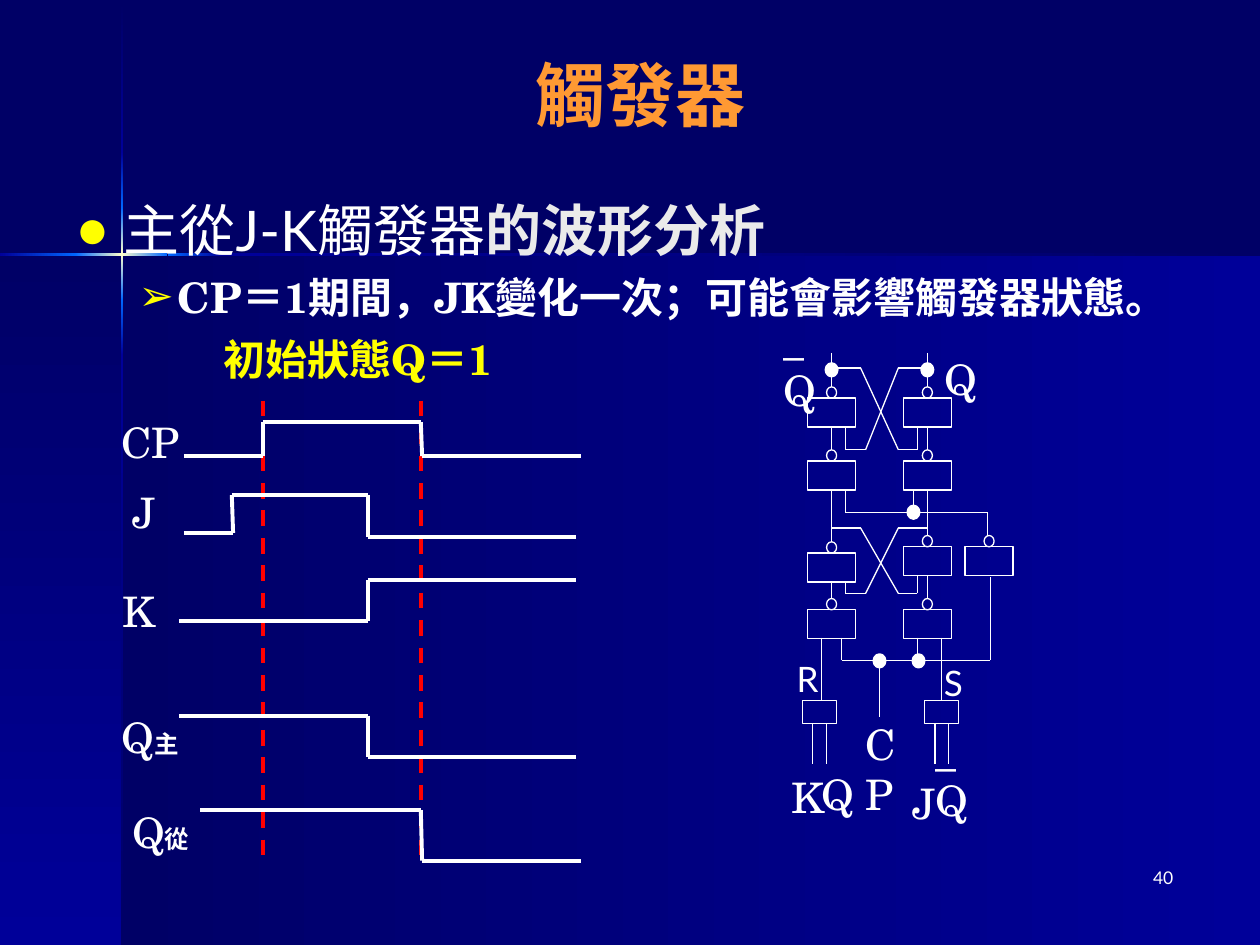
from lxml import etree
from pptx import Presentation
from pptx.dml.color import RGBColor
from pptx.enum.dml import MSO_LINE
from pptx.enum.shapes import MSO_CONNECTOR, MSO_SHAPE
from pptx.enum.text import MSO_ANCHOR, MSO_AUTO_SIZE, PP_ALIGN
from pptx.oxml.ns import qn
from pptx.util import Inches, Pt

RECT, OVAL = MSO_SHAPE.RECTANGLE, MSO_SHAPE.OVAL
STRAIGHT, DASH = MSO_CONNECTOR.STRAIGHT, MSO_LINE.DASH
LEFT, CENTER, RIGHT = PP_ALIGN.LEFT, PP_ALIGN.CENTER, PP_ALIGN.RIGHT
MIDDLE, NO_FIT = MSO_ANCHOR.MIDDLE, MSO_AUTO_SIZE.NONE
SANS, SERIF = "Lato", "TeX Gyre Schola"
COLORS = {
    "navy": "000066", "blue": "000099", "glow": "0066FF", "spark": "FFFFCC",
    "white": "FFFFFF", "pale": "EAEAEA", "yellow": "FFFF00",
    "orange": "FF9933", "red": "FF0000",
}


def color(name):
    return RGBColor.from_string(COLORS[name])


def add_text(para, text, size=24, font=SERIF, fill="white", bold=False):
    span = para.add_run()
    span.text = text
    span.font.size, span.font.name, span.font.bold = Pt(size), font, bold
    span.font.color.rgb = color(fill)


def set_bullet(para, char, left, hanging):
    props = para._p.get_or_add_pPr()
    props.set("marL", str(Inches(left)))
    props.set("indent", str(-Inches(hanging)))
    tint = etree.SubElement(props, qn("a:buClr"))
    etree.SubElement(tint, qn("a:srgbClr"), val=COLORS["yellow"])
    etree.SubElement(props, qn("a:buChar"), char=char)


def set_gradient(shape, names, angle):
    """Fill with evenly spaced stops; the angle runs clockwise in degrees."""
    gradient = etree.Element(qn("a:gradFill"), rotWithShape="1")
    stops = etree.SubElement(gradient, qn("a:gsLst"))
    for index, name in enumerate(names):
        place = index * 100000 // (len(names) - 1)
        stop = etree.SubElement(stops, qn("a:gs"), pos=str(place))
        etree.SubElement(stop, qn("a:srgbClr"), val=COLORS[name])
    etree.SubElement(gradient, qn("a:lin"), ang=str(angle * 60000), scaled="0")
    shape._element.spPr.find(qn("a:prstGeom")).addnext(gradient)


class Board:
    """The current slide with its line style."""

    thin, thick = 0.75, 2.25

    def __init__(self, slide):
        self.slide = slide
        self.shapes = slide.shapes
        slide.background.fill.solid()
        slide.background.fill.fore_color.rgb = color("navy")

    def shape(self, kind, left, top, width, height):
        shape = self.shapes.add_shape(kind, *map(Inches, (left, top, width, height)))
        shape.shadow.inherit = False
        return shape

    def panel(self, place, names, angle):
        panel = self.shape(RECT, *place)
        panel.line.fill.background()
        set_gradient(panel, names, angle)

    def outline(self, kind, *place):
        shape = self.shape(kind, *place)
        shape.fill.background()
        shape.line.color.rgb = color("white")
        shape.line.width = Pt(self.thin)

    def gate(self, center, top):
        """A box with its inverting bubble on top."""
        self.outline(RECT, center - 0.19, top, 0.38, 0.23)
        self.outline(OVAL, center - 0.04, top - 0.09, 0.08, 0.09)

    def dot(self, x, y):
        dot = self.shape(OVAL, x - 0.04, y - 0.04, 0.08, 0.09)
        dot.fill.solid()
        dot.fill.fore_color.rgb = dot.line.color.rgb = color("white")
        dot.line.width = Pt(self.thick)

    def wire(self, *points, width=thin, fill="white", dash=None):
        """Straight lines from each point to the next."""
        for start, end in zip(points, points[1:]):
            line = self.shapes.add_connector(STRAIGHT, *map(Inches, start + end))
            line.line.color.rgb = color(fill)
            line.line.width = Pt(width)
            if dash:
                line.line.dash_style = dash
            etree.SubElement(line._element.spPr, qn("a:effectLst"))

    def label(self, place, *lines, align=LEFT, **style):
        """A text box; each line is a text or a list of (text, style) spans."""
        frame = self.shapes.add_textbox(*map(Inches, place)).text_frame
        frame.word_wrap = True
        for index, line in enumerate(lines):
            para = frame.add_paragraph() if index else frame.paragraphs[0]
            para.alignment = align
            spans = [(line, style)] if isinstance(line, str) else line
            for text, span_style in spans:
                add_text(para, text, **span_style)

    def placeholder(self, index, *place):
        box = self.slide.placeholders[index]
        box.left, box.top, box.width, box.height = map(Inches, place)
        box.text_frame.auto_size = NO_FIT
        return box.text_frame


def draw_background(board):
    fade_in, fade_out = ["blue", "glow"], ["glow", "blue"]
    base, flare = ["navy", "blue"], ["glow", "spark", "glow"]
    for place, names, angle in [
        ((0.97, 2.02, 9.03, 5.48), base, 0),
        ((0, 2.02, 0.97, 5.48), base, 90),
        ((0.96, 0.01, 0.02, 1.2), base, 90),
        ((0.96, 2.82, 0.02, 4.68), base[::-1], 90),
        ((1.77, 2.01, 8.23, 0.02), base[::-1], 0),
        ((0.96, 2.38, 0.02, 0.44), fade_out, 90),
        ((0.96, 1.21, 0.02, 0.44), fade_in, 90),
        ((0.96, 1.65, 0.02, 0.73), flare, 90),
        ((0, 2.01, 0.61, 0.02), fade_in, 0),
        ((1.33, 2.01, 0.44, 0.02), fade_out, 0),
        ((0.6, 2.01, 0.73, 0.02), flare, 0),
    ]:
        board.panel(place, names, angle)


def write_text(board):
    title = board.placeholder(0, 0.5, 0.33, 9.17, 0.83)
    title.vertical_anchor = MIDDLE
    title.paragraphs[0].alignment = CENTER
    add_text(title.paragraphs[0], "觸發器", size=40, font=SANS, fill="orange", bold=True)
    body = board.placeholder(1, 0.5, 1.5, 9.08, 5.17)
    topic, detail = body.paragraphs[0], body.add_paragraph()
    set_bullet(topic, "●", 0.38, 0.38)
    topic.space_before = Pt(0)
    add_text(topic, "主從J-K觸發器", size=32, font=SANS)
    add_text(topic, "的波形分析", size=32, fill="pale", bold=True)
    detail.level = 1
    set_bullet(detail, "➢", 0.81, 0.31)
    detail.space_before = Pt(5)
    add_text(detail, "CP＝1期間，JK變化一次；可能會影響觸發器狀態。", bold=True)
    board.label((1.46, 2.6, 2.76, 0.5), "初始狀態Q＝1", align=CENTER, fill="yellow", bold=True)
    board.label((7.33, 6.83, 2.08, 0.5), "40", align=RIGHT, size=10, font=SANS)


def draw_waveforms(board):
    for x in (2.09, 3.34):
        board.wire((x, 3.18), (x, 6.8), width=board.thick, fill="red", dash=DASH)
    small = {"size": 14, "bold": True}
    for left, top, line, points in [
        (0.84, 3.26, "CP", [(1.46, 3.62), (2.09, 3.62), (2.09, 3.35), (3.34, 3.35),
                            (3.35, 3.62), (4.61, 3.62)]),
        (0.79, 3.81, "J", [(1.46, 4.23), (1.85, 4.23), (1.84, 3.93), (2.92, 3.93),
                           (2.92, 4.26), (4.57, 4.26)]),
        (0.75, 4.6, "K", [(1.42, 4.93), (2.92, 4.93), (2.92, 4.6), (4.57, 4.6)]),
        (0.84, 5.6, [("Q", {}), ("主", small)],
         [(1.42, 5.68), (2.92, 5.68), (2.92, 6.01), (4.57, 6.01)]),
        (0.92, 6.35, [("Q", {}), ("從", small)],
         [(1.59, 6.43), (3.34, 6.43), (3.35, 6.83), (4.61, 6.83)]),
    ]:
        board.wire(*points, width=board.thick)
        board.label((left, top, 0.71, 0.5), line, align=CENTER)


def draw_circuit(board):
    left, right, inverter = 6.6, 7.36, 7.85
    for center, tops in [(left, (3.16, 3.66, 4.39, 4.84)),
                         (right, (3.16, 3.66, 4.34, 4.84)), (inverter, (4.34,))]:
        for top in tops:
            board.gate(center, top)
    # Cross-coupled feedback of the slave and the master latch
    for high, low, left_base, right_base, bubble in [
        (2.92, 3.57, 3.39, 3.39, 3.57), (4.19, 4.71, 4.62, 4.57, 4.75),
    ]:
        board.wire((right, high), (7.13, high), (6.87, low), (6.71, low), (6.71, left_base))
        board.wire((left, high), (6.83, high), (7.13, low), (7.28, low), (7.28, right_base))
        board.wire((left, left_base), (left, bubble))
        board.wire((right, right_base), (right, bubble))
    for points in [
        [(left, 2.8), (left, 3.07)], [(right, 2.8), (right, 3.07)],
        [(left, 3.89), (left, 4.3)], [(right, 3.89), (right, 4.25)],
        [(6.71, 3.89), (6.71, 4.07), (7.84, 4.07), (7.84, 4.25)],
        [(7.25, 3.89), (7.25, 4.07)],
        [(6.68, 5.06), (6.68, 5.24), (7.86, 5.24), (7.86, 4.58)],
        [(7.28, 5.06), (7.28, 5.24)], [(6.98, 5.24), (6.98, 5.69)],
        [(6.52, 5.06), (6.52, 5.56)], [(7.47, 5.06), (7.47, 5.56)],
    ]:
        board.wire(*points)
    for x, y in [(left, 2.93), (right, 2.93), (7.25, 4.06), (6.98, 5.24), (7.29, 5.24)]:
        board.dot(x, y)
    for edge in (6.37, 7.34):
        board.outline(RECT, edge, 5.56, 0.27, 0.18)
        for x in (edge + 0.08, edge + 0.19):
            board.wire((x, 5.74), (x, 6.06))
    board.label((6.12, 2.44, 0.23, 0.91), "_", "Q")
    board.label((7.33, 5.7, 0.62, 0.91), "_", "Q")
    for place, text in [
        ((7.4, 2.76, 0.45, 0.5), "Q"), ((6.77, 5.65, 0.65, 0.5), "CP"),
        ((6.18, 6.07, 0.44, 0.51), "K"), ((6.42, 6.05, 0.45, 0.51), "Q"),
        ((7.14, 6.12, 0.38, 0.51), "J"),
    ]:
        board.label(place, text)
    board.label((6.23, 5.17, 0.19, 0.44), "R", size=20, font=SANS)
    board.label((7.4, 5.2, 0.19, 0.44), "S", size=20, font=SANS)


def main():
    deck = Presentation()
    deck.slide_width, deck.slide_height = Inches(10), Inches(7.5)
    board = Board(deck.slides.add_slide(deck.slide_layouts[1]))
    for draw in (draw_background, write_text, draw_waveforms, draw_circuit):
        draw(board)
    # The template's placeholders go above the background panels
    tree = board.shapes._spTree
    for box in reversed(list(board.slide.placeholders)):
        tree.remove(box._element)
        tree.insert(13, box._element)
    deck.save("out.pptx")


if __name__ == "__main__":
    main()
